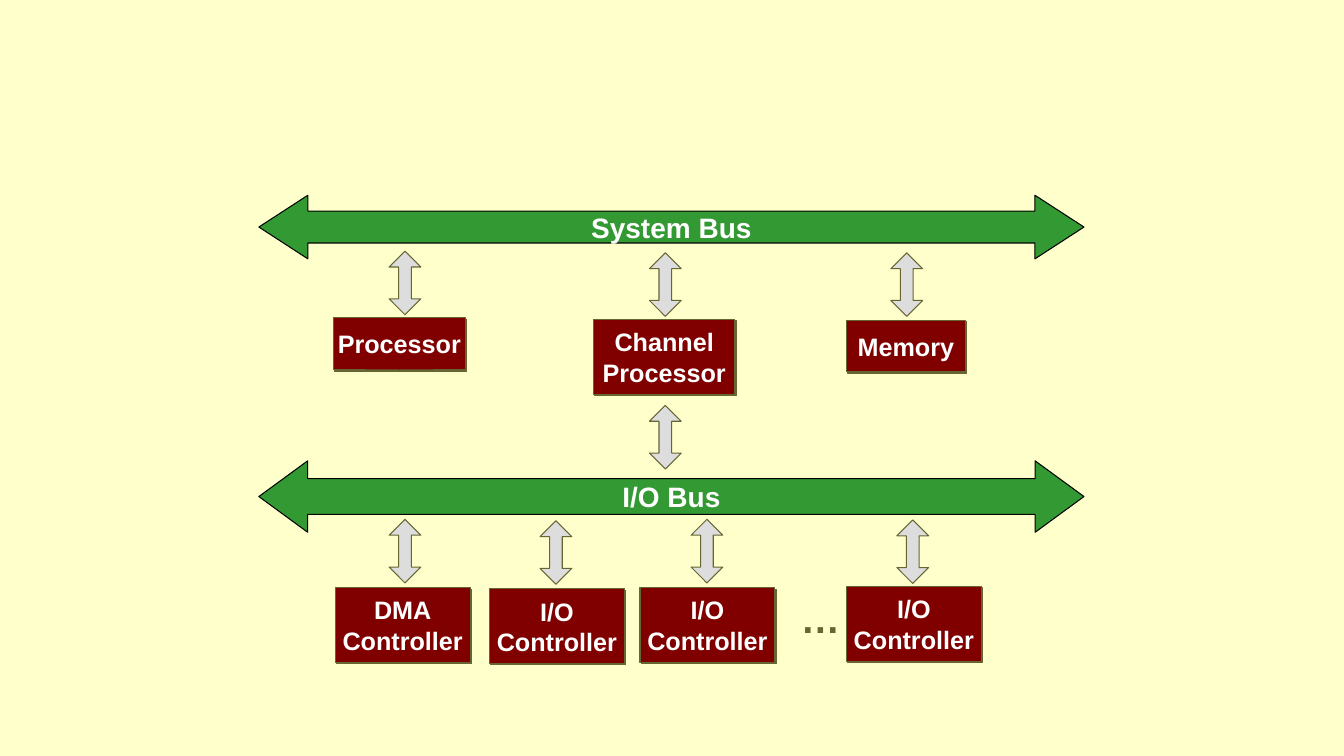
from lxml.etree import SubElement
from pptx import Presentation
from pptx.dml.color import RGBColor
from pptx.enum.shapes import MSO_SHAPE
from pptx.enum.text import MSO_ANCHOR, PP_ALIGN
from pptx.oxml.ns import qn
from pptx.util import Pt

CREAM = RGBColor(0xFF, 0xFF, 0xCC)
GREEN = RGBColor(0x33, 0x99, 0x33)
MAROON = RGBColor(0x80, 0x00, 0x00)
GREY = RGBColor(0xDD, 0xDD, 0xDD)
OLIVE = RGBColor(0x66, 0x66, 0x33)
BLACK = RGBColor(0, 0, 0)
WHITE = RGBColor(0xFF, 0xFF, 0xFF)

# Content: buses as (text, top, height, shaft share, head length)
BUSES = [
    ("System Bus", 139.5, 45.4, 0.503, 0.771),
    ("I/O Bus", 329.2, 51, 0.503, 0.684),
]
BUS_LEFT, BUS_WIDTH = 185, 589.7

# Units as (text, left, top, width, height)
CONTROLLER_SIZE = (96.5, 53.3)
UNITS = [
    ("Processor", 238.2, 226.9, 94.5, 37.4),
    ("Channel\nProcessor", 424.2, 228.3, 101, 53.3),
    ("Memory", 604.9, 229, 85, 36.7),
    ("DMA\nController", 239.6, 419.8, *CONTROLLER_SIZE),
    ("I/O\nController", 349.8, 420.6, *CONTROLLER_SIZE),
    ("I/O\nController", 457.4, 419.8, *CONTROLLER_SIZE),
    ("I/O\nController", 604.9, 419, *CONTROLLER_SIZE),
]

# Links between buses and units as (centre, top)
LINKS = [
    (289.4, 179.4), (475.5, 180.6), (648, 180.6), (475.5, 289.6),
    (289.4, 371), (397.3, 372), (505.2, 371), (652.3, 371.4),
]
LINK_WIDTH, LINK_HEIGHT = 22.7, 45.4

deck = Presentation()
deck.slide_width, deck.slide_height = Pt(960.5), Pt(540)
page = deck.slides.add_slide(deck.slide_layouts[6])
page.background.fill.solid()
page.background.fill.fore_color.rgb = CREAM


def style_text(frame, size, color, align):
    for para in frame.paragraphs:
        para.alignment = align
        for span in para.runs:
            span.font.name = "Arial"
            span.font.size = Pt(size)
            span.font.bold = True
            span.font.color.rgb = color


def add_block(kind, left, top, width, height, fill, line, text="", size=18):
    block = page.shapes.add_shape(kind, Pt(left), Pt(top), Pt(width), Pt(height))
    block.shadow.inherit = False
    block.fill.solid()
    block.fill.fore_color.rgb = fill
    block.line.color.rgb = line
    block.line.width = Pt(0.75)
    if text:
        frame = block.text_frame
        frame.text = text
        frame.word_wrap = False
        frame.vertical_anchor = MSO_ANCHOR.MIDDLE
        style_text(frame, size, WHITE, PP_ALIGN.CENTER)
    return block


def add_hard_shadow(block):
    effects = block.element.spPr.find(qn("a:effectLst"))
    shadow = SubElement(effects, qn("a:outerShdw"), dist=str(Pt(1.4)),
                        dir=str(45 * 60000), algn="ctr", rotWithShape="0")
    SubElement(shadow, qn("a:srgbClr"), val=str(OLIVE))


# Buses
for text, top, height, shaft, head in BUSES:
    bus = add_block(MSO_SHAPE.LEFT_RIGHT_ARROW, BUS_LEFT, top, BUS_WIDTH, height,
                    GREEN, BLACK, text, 20)
    bus.adjustments[0], bus.adjustments[1] = shaft, head

# Links
for centre, top in LINKS:
    link = add_block(MSO_SHAPE.UP_DOWN_ARROW, centre - LINK_WIDTH / 2, top,
                     LINK_WIDTH, LINK_HEIGHT, GREY, OLIVE)
    link.adjustments[0], link.adjustments[1] = 0.5, 0.4

# Units
for text, left, top, width, height in UNITS:
    add_hard_shadow(add_block(MSO_SHAPE.RECTANGLE, left, top, width, height,
                              MAROON, OLIVE, text))

# Ellipsis between the controllers
ellipsis_box = page.shapes.add_textbox(Pt(565.2), Pt(421.2), Pt(34), Pt(41))
ellipsis_box.text_frame.text = "…"
ellipsis_box.text_frame.word_wrap = True
style_text(ellipsis_box.text_frame, 28, OLIVE, PP_ALIGN.LEFT)

deck.save("out.pptx")
